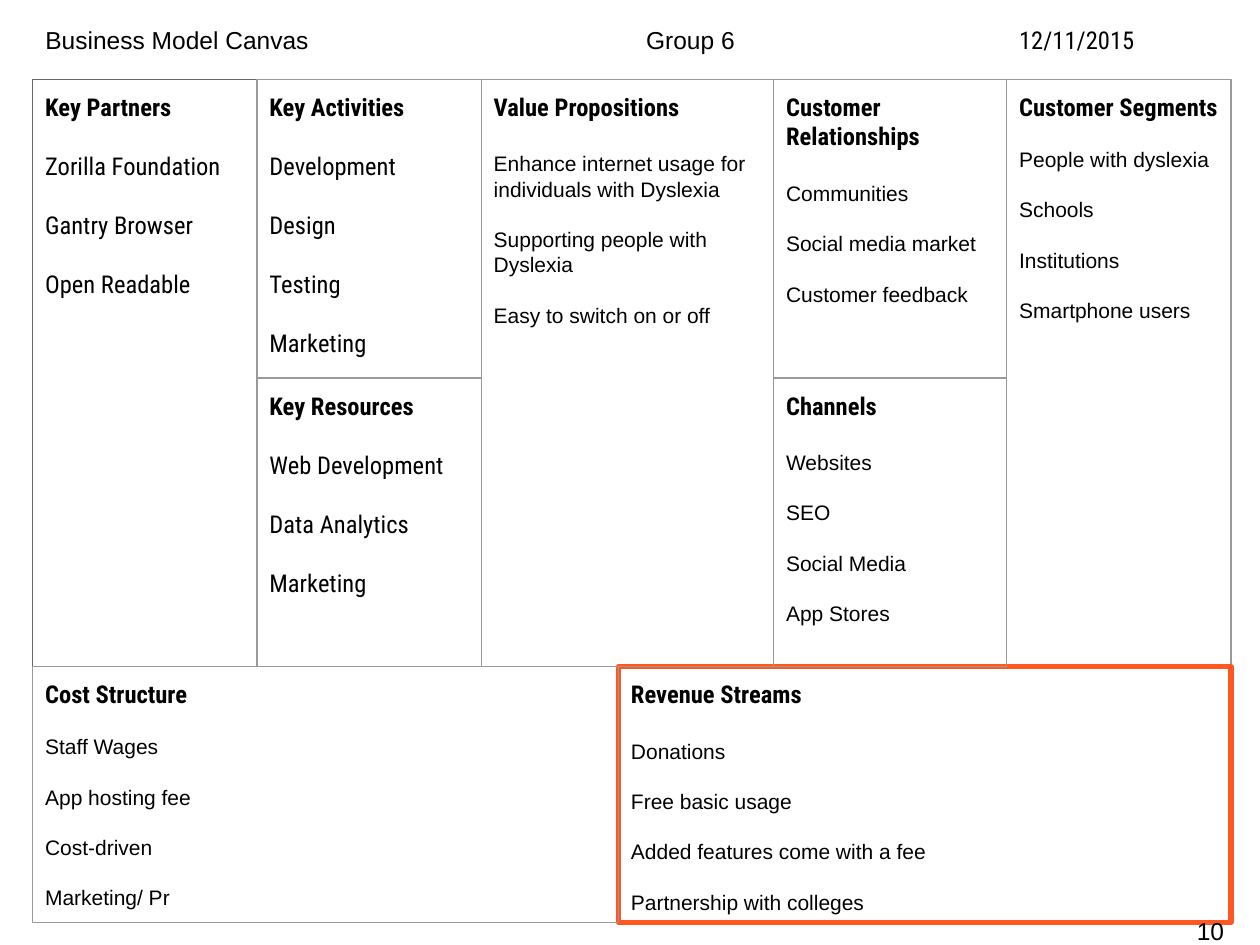
from dataclasses import dataclass

from pptx import Presentation
from pptx.dml.color import RGBColor
from pptx.enum.shapes import MSO_SHAPE
from pptx.enum.text import MSO_ANCHOR, MSO_AUTO_SIZE, PP_ALIGN
from pptx.util import Inches, Pt

RECTANGLE = MSO_SHAPE.RECTANGLE
TOP = MSO_ANCHOR.TOP
LEFT = PP_ALIGN.LEFT
NO_AUTOFIT = MSO_AUTO_SIZE.NONE

BLACK = RGBColor(0x00, 0x00, 0x00)
WHITE = RGBColor(0xFF, 0xFF, 0xFF)
GRAY = RGBColor(0x99, 0x99, 0x99)
DARK_GRAY = RGBColor(0x66, 0x66, 0x66)
ORANGE = RGBColor(0xFF, 0x57, 0x22)

SANS = "Arial"
CONDENSED = "Roboto Condensed"
HEADING_SIZE = 14
LINE_GAP = {12: 14.4, 14: 16.9}

COLUMNS = [0.26, 2.04, 3.82, 6.14, 7.99, 9.77]
ROWS = [0.63, 3, 5.29, 7.32]
REVENUE_LEFT = 4.91
HEADER_TOP = 0.1
HEADER_HEIGHT = 0.45
PADDING = Inches(0.1)


@dataclass
class Block:
    heading: str
    items: list
    left: float
    right: float
    top: float
    bottom: float
    item_font: str = SANS
    item_size: int = 12
    heading_gap: int = 14
    border: RGBColor = GRAY
    border_width: float = 0.75


def canvas_blocks():
    partners, activities, values, relations, segments, right_edge = COLUMNS
    top, middle, lower, bottom = ROWS
    condensed = {"item_font": CONDENSED, "item_size": 14}
    return [
        Block("Key Partners",
              ["Zorilla Foundation", "Gantry Browser", "Open Readable"],
              partners, activities, top, lower, border=DARK_GRAY, **condensed),
        Block("Key Resources",
              ["Web Development", "Data Analytics", "Marketing"],
              activities, values, middle, lower, **condensed),
        Block("Key Activities",
              ["Development", "Design", "Testing", "Marketing"],
              activities, values, top, middle, **condensed),
        Block("Customer Segments",
              ["People with dyslexia", "Schools", "Institutions",
               "Smartphone users"],
              segments, right_edge, top, lower, heading_gap=12),
        Block("Revenue Streams",
              ["Donations", "Free basic usage",
               "Added features come with a fee", "Partnership with colleges"],
              REVENUE_LEFT, right_edge, lower, bottom,
              border=ORANGE, border_width=3),
        Block("Customer Relationships",
              ["Communities", "Social media market", "Customer feedback"],
              relations, segments, top, middle),
        Block("Channels",
              ["Websites", "SEO", "Social Media", "App Stores"],
              relations, segments, middle, lower),
        Block("Value Propositions",
              ["Enhance internet usage for individuals with Dyslexia",
               "Supporting people with Dyslexia", "Easy to switch on or off"],
              values, relations, top, lower),
        Block("Cost Structure",
              ["Staff Wages", "App hosting fee", "Cost-driven",
               "Marketing/ Pr"],
              partners, REVENUE_LEFT, lower, bottom, heading_gap=12),
    ]


def prepare_frame(frame):
    frame.word_wrap = True
    frame.auto_size = NO_AUTOFIT
    frame.vertical_anchor = TOP
    frame.margin_left = frame.margin_right = PADDING
    frame.margin_top = frame.margin_bottom = PADDING


def write_paragraph(paragraph, text, font=SANS, size=14, bold=False, gap=0):
    paragraph.text = text
    paragraph.alignment = LEFT
    paragraph.space_before = Pt(gap)
    paragraph.font.name = font
    paragraph.font.size = Pt(size)
    paragraph.font.bold = bold
    paragraph.font.color.rgb = BLACK


def add_box(slide, left, top, width, height, border, border_width=0.75):
    box = slide.shapes.add_shape(
        RECTANGLE, Inches(left), Inches(top), Inches(width), Inches(height))
    box.shadow.inherit = False
    box.fill.background()
    box.line.color.rgb = border
    box.line.width = Pt(border_width)
    prepare_frame(box.text_frame)
    return box.text_frame


def add_block(slide, block):
    frame = add_box(slide, block.left, block.top, block.right - block.left,
                    block.bottom - block.top, block.border, block.border_width)
    write_paragraph(frame.paragraphs[0], block.heading, CONDENSED,
                    HEADING_SIZE, bold=True)
    gap = LINE_GAP[block.heading_gap]
    for item in block.items:
        write_paragraph(frame.add_paragraph(), item, block.item_font,
                        block.item_size, gap=gap)
        gap = LINE_GAP[block.item_size]


def add_label(slide, text, left, top, width, height):
    label = slide.shapes.add_textbox(
        Inches(left), Inches(top), Inches(width), Inches(height))
    prepare_frame(label.text_frame)
    write_paragraph(label.text_frame.paragraphs[0], text)


def set_title(slide, text):
    title = slide.shapes.title
    title.left, title.top = Inches(COLUMNS[0]), Inches(HEADER_TOP)
    title.width, title.height = Inches(3.52), Inches(0.53)
    prepare_frame(title.text_frame)
    write_paragraph(title.text_frame.paragraphs[0], text)


def add_date(slide, text):
    frame = add_box(slide, COLUMNS[4], HEADER_TOP, COLUMNS[5] - COLUMNS[4],
                    HEADER_HEIGHT, WHITE)
    write_paragraph(frame.paragraphs[0], text, CONDENSED)


def main():
    presentation = Presentation()
    presentation.slide_width = Inches(10)
    presentation.slide_height = Inches(7.5)
    slide = presentation.slides.add_slide(presentation.slide_layouts[5])

    set_title(slide, "Business Model Canvas")
    for block in canvas_blocks():
        add_block(slide, block)
    add_label(slide, "Group 6", 5.03, HEADER_TOP, 1.37, HEADER_HEIGHT)
    add_date(slide, "12/11/2015")
    add_label(slide, "10", 9.4, 7.17, 0.6, 0.33)

    presentation.save("out.pptx")


if __name__ == "__main__":
    main()
